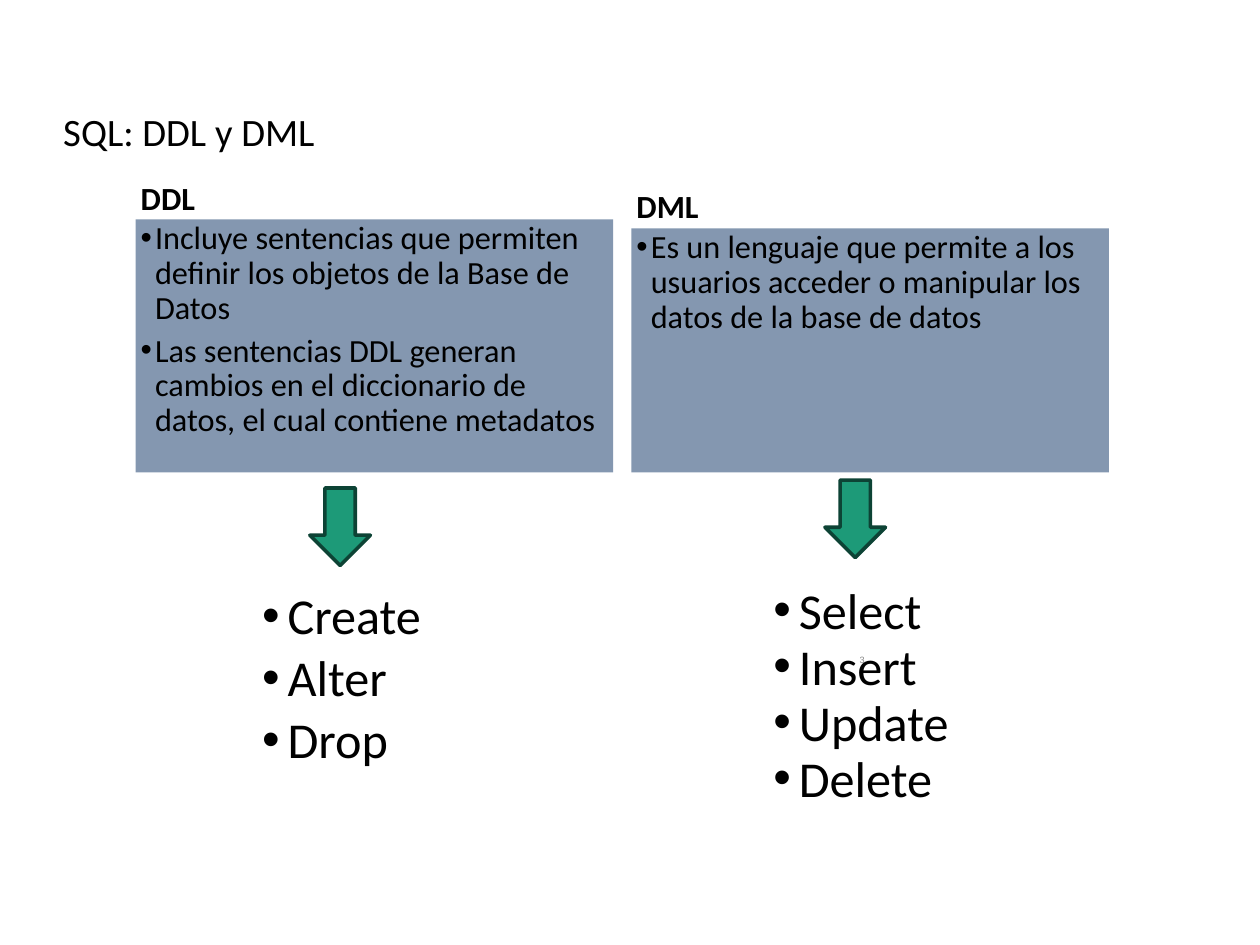
from lxml import etree
from pptx import Presentation
from pptx.dml.color import RGBColor
from pptx.enum.shapes import MSO_SHAPE
from pptx.enum.text import MSO_ANCHOR, PP_ALIGN
from pptx.oxml.ns import qn
from pptx.util import Pt

RECT = MSO_SHAPE.RECTANGLE
DOWN_ARROW = MSO_SHAPE.DOWN_ARROW
TOP, MIDDLE, BOTTOM = MSO_ANCHOR.TOP, MSO_ANCHOR.MIDDLE, MSO_ANCHOR.BOTTOM
LEFT, RIGHT = PP_ALIGN.LEFT, PP_ALIGN.RIGHT

COLORS = {
    "text": "000000",
    "panel": "8497B0",
    "arrow": "1D9A78",
    "arrow_line": "0D4335",
    "number": "888888",
}
PANEL_WIDTH = 266.4
PANEL_BOTTOM = 263.5
HEADING_HEIGHT = 28.1
LIST_TOP = 328.3

COLUMNS = [
    {
        "heading": "DDL", "left": 75.6, "panel_top": 122.4,
        "points": [
            "Incluye sentencias que permiten definir los objetos de la Base de Datos",
            "Las sentencias DDL generan cambios en el diccionario de datos, "
            "el cual contiene metadatos",
        ],
        "arrow": (172.8, 272.2),
        "commands": ["Create", "Alter", "Drop"],
        "list_left": 143.3, "list_spacing": 0.9,
    },
    {
        "heading": "DML", "left": 352.1, "panel_top": 127.4,
        "points": [
            "Es un lenguaje que permite a los usuarios acceder o manipular "
            "los datos de la base de datos",
        ],
        "arrow": (460.1, 267.8),
        "commands": ["Select", "Insert", "Update", "Delete"],
        "list_left": 428.4, "list_spacing": 0.8,
    },
]


def rgb(name):
    return RGBColor.from_string(COLORS[name])


def add_bullet(p, indent):
    pPr = p._p.get_or_add_pPr()
    pPr.set("marL", str(Pt(indent)))
    pPr.set("indent", str(-Pt(indent)))
    color = etree.SubElement(pPr, qn("a:buClr"))
    etree.SubElement(color, qn("a:srgbClr"), val=COLORS["text"])
    etree.SubElement(pPr, qn("a:buFont"), typeface="Arial")
    etree.SubElement(pPr, qn("a:buChar"), char="•")


def write_text(sp, lines, size, anchor=TOP, align=LEFT, font="Calibri",
               color="text", bold=False, spacing=0.9, indent=0):
    tf = sp.text_frame
    tf.word_wrap = True
    tf.vertical_anchor = anchor
    tf.margin_left = tf.margin_right = Pt(2.9)
    tf.margin_top = tf.margin_bottom = Pt(1.4)
    for i, line in enumerate(lines):
        p = tf.add_paragraph() if i else tf.paragraphs[0]
        p.alignment = align
        p.line_spacing = spacing
        if i:
            p.space_before = Pt(4.3)
        if indent:
            add_bullet(p, indent)
        r = p.add_run()
        r.text = line
        r.font.name = font
        r.font.size = Pt(size)
        r.font.bold = bold
        r.font.color.rgb = rgb(color)


def add_text(s, x, y, w, h, lines, size, **style):
    sp = s.shapes.add_textbox(Pt(x), Pt(y), Pt(w), Pt(h))
    write_text(sp, lines, size, **style)


def add_filled(s, kind, x, y, w, h, fill):
    sp = s.shapes.add_shape(kind, Pt(x), Pt(y), Pt(w), Pt(h))
    sp.shadow.inherit = False
    sp.fill.solid()
    sp.fill.fore_color.rgb = rgb(fill)
    return sp


def add_panel(s, x, y, points):
    sp = add_filled(s, RECT, x, y, PANEL_WIDTH, PANEL_BOTTOM - y, "panel")
    sp.line.fill.background()
    write_text(sp, points, 18, indent=8)


def add_arrow(s, x, y):
    sp = add_filled(s, DOWN_ARROW, x, y, 33.8, 43.2, "arrow")
    sp.line.color.rgb = rgb("arrow_line")
    sp.line.width = Pt(2)


def add_column(s, col):
    x, y = col["left"], col["panel_top"]
    add_text(s, x, y - HEADING_HEIGHT, 130.5, HEADING_HEIGHT,
             [col["heading"]], 18, anchor=BOTTOM, bold=True)
    add_panel(s, x, y, col["points"])
    add_text(s, col["list_left"], LIST_TOP, 130.5, 129.6, col["commands"], 28,
             spacing=col["list_spacing"], indent=14.3)
    add_arrow(s, *col["arrow"])


def main():
    prs = Presentation()
    prs.slide_width, prs.slide_height = Pt(702.72), Pt(527.04)
    s = prs.slides.add_slide(prs.slide_layouts[6])
    add_text(s, 32.4, 60.5, 266.4, 28.1, ["SQL: DDL y DML"], 21.6, anchor=MIDDLE)
    add_text(s, 415.4, 362.2, 69.8, 12.2, ["3"], 5.1, anchor=MIDDLE,
             align=RIGHT, font="Arial", color="number", spacing=1.0)
    for col in COLUMNS:
        add_column(s, col)
    prs.save("out.pptx")


if __name__ == "__main__":
    main()
